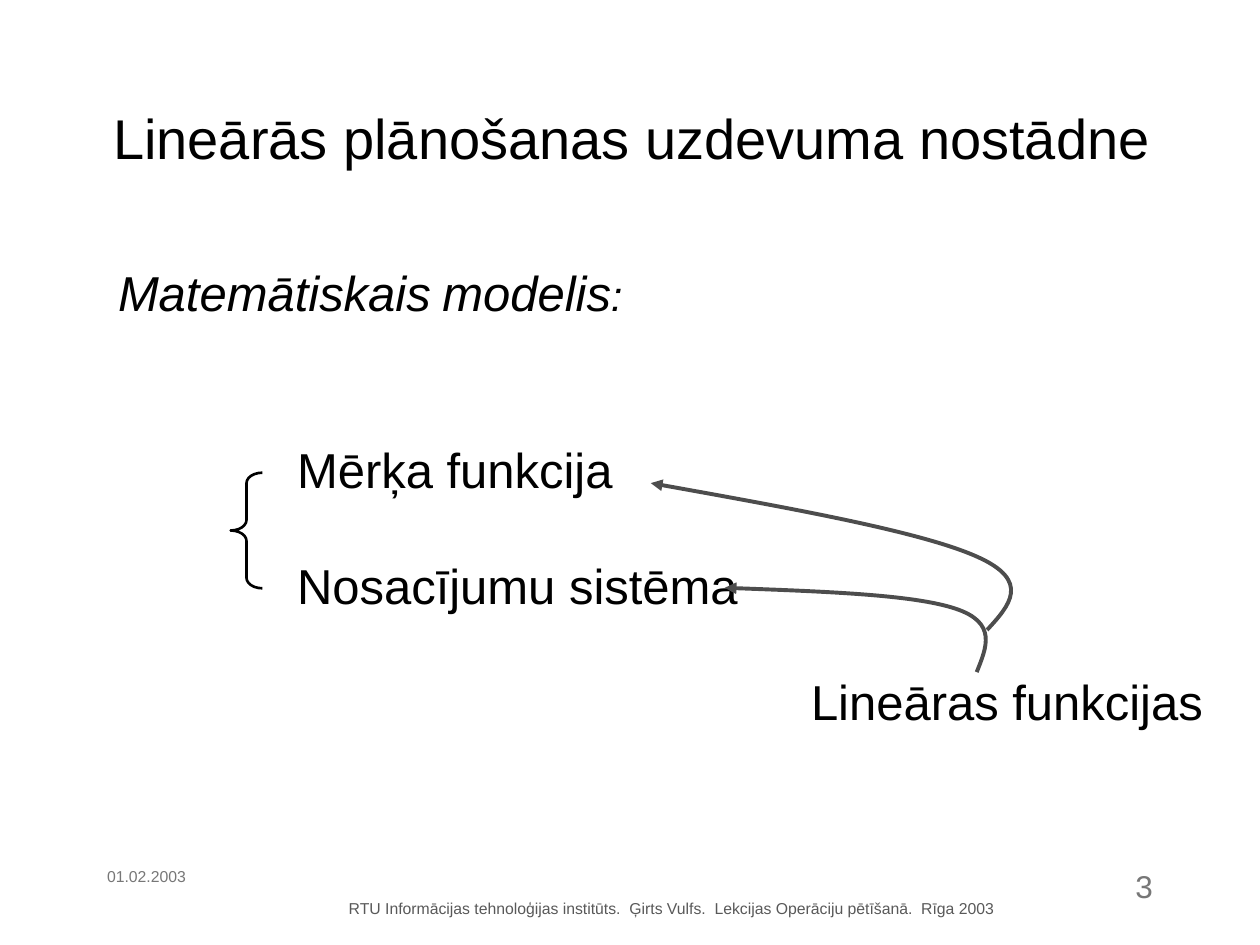
from lxml import etree
from pptx import Presentation
from pptx.dml.color import RGBColor
from pptx.enum.shapes import MSO_SHAPE
from pptx.enum.text import MSO_ANCHOR, MSO_AUTO_SIZE, PP_ALIGN
from pptx.oxml.ns import qn
from pptx.util import Cm, Pt

LEFT, RIGHT = PP_ALIGN.LEFT, PP_ALIGN.RIGHT
TOP, NO_FIT = MSO_ANCHOR.TOP, MSO_AUTO_SIZE.NONE
BRACE = MSO_SHAPE.LEFT_BRACE
TITLE_ONLY = 5

COLORS = {
    "text": "000000",
    "arrow": "4D4D4D",
    "footer": "595959",
    "meta": "777777",
}
FRAME = {
    "auto_size": NO_FIT,
    "vertical_anchor": TOP,
    "margin_left": Cm(0.25),
    "margin_right": Cm(0.25),
    "margin_top": Cm(0.13),
    "margin_bottom": Cm(0.13),
}


class SlideBuilder:
    def __init__(self, s, font="Arial"):
        self.s = s
        self.font = font

    def fill_text(self, sp, runs, color="text", align=LEFT, wrap=False, italic=False):
        tf = sp.text_frame
        for name, value in {**FRAME, "word_wrap": wrap}.items():
            setattr(tf, name, value)
        p = tf.paragraphs[0]
        p.alignment = align
        for text, size in runs:
            r = p.add_run()
            r.text = text
            style = {"name": self.font, "size": Pt(size), "bold": False, "italic": italic}
            for name, value in style.items():
                setattr(r.font, name, value)
            r.font.color.rgb = RGBColor.from_string(COLORS[color])

    def title(self, box, text, size):
        sp = self.s.shapes.title
        for name, value in zip(("left", "top", "width", "height"), box):
            setattr(sp, name, Cm(value))
        self.fill_text(sp, [(text, size)])

    def text(self, box, runs, **style):
        sp = self.s.shapes.add_textbox(*map(Cm, box))
        self.fill_text(sp, runs, **style)

    def outline(self, sp, color, width):
        sp.shadow.inherit = False
        sp.fill.background()
        sp.line.color.rgb = RGBColor.from_string(COLORS[color])
        sp.line.width = Pt(width)

    def brace(self, box):
        sp = self.s.shapes.add_shape(BRACE, *map(Cm, box))
        sp.adjustments[0] = 0.33
        self.outline(sp, "text", 1.5)

    def curved_arrow(self, points):
        start, *rest = [(Cm(x), Cm(y)) for x, y in points]
        builder = self.s.shapes.build_freeform(*start)
        builder.add_line_segments(rest, close=False)
        sp = builder.convert_to_shape()
        steps = list(sp.element.iter(qn("a:lnTo")))
        for i in range(0, len(steps), 3):
            curve = etree.Element(qn("a:cubicBezTo"))
            steps[i].addprevious(curve)
            for step in steps[i:i + 3]:
                curve.append(step[0])
                step.getparent().remove(step)
        self.outline(sp, "arrow", 2.25)
        ln = sp.element.spPr.find(qn("a:ln"))
        etree.SubElement(ln, qn("a:tailEnd"), type="triangle")


def main():
    prs = Presentation()
    prs.slide_width, prs.slide_height = Cm(25.4), Cm(19.05)
    s = prs.slides.add_slide(prs.slide_layouts[TITLE_ONLY])
    b = SlideBuilder(s)

    b.title((2.03, 1.96, 21.44, 1.63), "Lineārās plānošanas uzdevuma nostādne", 32)
    b.text((2.13, 5.16, 10.67, 1.45),
           [("Matemātiskais", 28), (" ", 24), ("modelis", 28), (":", 24)], italic=True)

    labels = [
        ((5.74, 8.74, 6.86, 1.45), "Mērķa funkcija"),
        ((5.74, 11.07, 9.37, 1.45), "Nosacījumu sistēma"),
        ((16.1, 13.41, 8.41, 1.45), "Lineāras funkcijas"),
    ]
    for box, text in labels:
        b.text(box, [(text, 28)])

    b.brace((4.65, 9.53, 0.64, 2.33))
    b.curved_arrow([(19.69, 13.55), (19.89, 13.05), (20.11, 12.55), (19.26, 12.27),
                    (18.42, 11.99), (16.51, 11.92), (14.61, 11.85)])
    b.curved_arrow([(19.9, 12.7), (20.35, 12.21), (20.8, 11.71), (19.69, 11.22),
                    (18.57, 10.72), (15.85, 10.23), (13.12, 9.74)])

    b.text((1.91, 17.35, 4.88, 1.27), [("01.02.2003", 9)], color="meta", wrap=True)
    b.text((6.78, 17.98, 13.54, 0.64),
           [("RTU Informācijas tehnoloģijas institūts.  Ģirts Vulfs.  "
             "Lekcijas Operāciju pētīšanā.  Rīga 2003", 9)], color="footer")
    b.text((20.52, 17.35, 2.97, 1.27), [("3", 18)], color="meta", align=RIGHT, wrap=True)

    prs.save("out.pptx")


if __name__ == "__main__":
    main()
